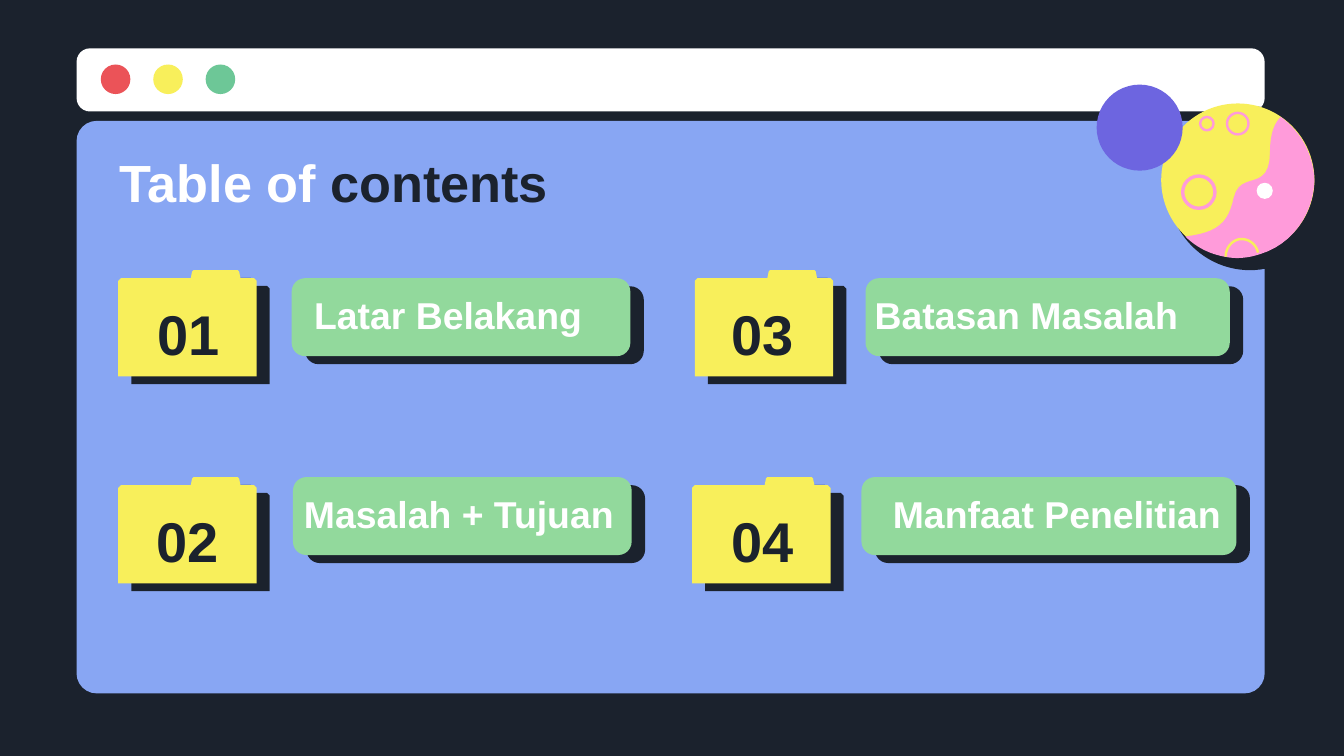
from pptx import Presentation
from pptx.dml.color import RGBColor
from pptx.enum.shapes import MSO_SHAPE as Shape
from pptx.enum.text import MSO_ANCHOR as Anchor, MSO_AUTO_SIZE as AutoSize, PP_ALIGN as Align
from pptx.oxml import parse_xml
from pptx.oxml.ns import nsdecls
from pptx.util import Inches, Pt

NAVY, WHITE, YELLOW, PINK = "1B222D", "FFFFFF", "F8EF5B", "FF9BDA"
BLUE, GREEN, PURPLE = "88A6F3", "92D99C", "6D65E0"
CURVE_STEPS = 12


def rgb(color):
    """Turn a hex string into a colour."""
    return RGBColor.from_string(color)


def paint(shape, fill=None, line=None, weight=1):
    """Set fill and outline, and switch off the theme shadow."""
    shape.shadow.inherit = False
    if fill:
        shape.fill.solid()
        shape.fill.fore_color.rgb = rgb(fill)
    else:
        shape.fill.background()
    if line:
        shape.line.color.rgb = rgb(line)
        shape.line.width = Pt(weight)
    else:
        shape.line.fill.background()


def add_rounded(slide, left, top, width, height, radius, fill):
    """Add a rounded rectangle with a corner radius in inches."""
    bar = slide.shapes.add_shape(
        Shape.ROUNDED_RECTANGLE, Inches(left), Inches(top), Inches(width), Inches(height))
    bar.adjustments[0] = radius / min(width, height)
    paint(bar, fill)


def add_circle(slide, x, y, radius, fill=None, line=None, weight=1):
    """Add a circle around a centre point."""
    circle = slide.shapes.add_shape(
        Shape.OVAL, Inches(x - radius), Inches(y - radius), Inches(2 * radius), Inches(2 * radius))
    paint(circle, fill, line, weight)


def bezier(start, control_1, control_2, end):
    """List points along a cubic curve, without its start."""
    points = []
    for step in range(1, CURVE_STEPS + 1):
        t = step / CURVE_STEPS
        weights = ((1 - t) ** 3, 3 * t * (1 - t) ** 2, 3 * t * t * (1 - t), t ** 3)
        points.append(tuple(
            sum(w * c for w, c in zip(weights, axis))
            for axis in zip(start, control_1, control_2, end)))
    return points


def add_outline(slide, start, segments, closed=True):
    """Add a freeform; one-point segments are straight, three-point ones curved."""
    points = [start]
    for segment in segments:
        points += bezier(points[-1], *segment) if len(segment) == 3 else segment
    corners = [(Inches(x), Inches(y)) for x, y in points]
    builder = slide.shapes.build_freeform(*corners[0])
    builder.add_line_segments(corners[1:], close=closed)
    return builder.convert_to_shape()


def add_folder(slide, left, top):
    """Add a tabbed folder with a hard offset shadow."""
    corners = [(0, 0.08), (0.02, 0.06), (0.54, 0.06), (0.55, 0.01), (0.56, 0), (0.89, 0),
               (0.9, 0.01), (0.91, 0.06), (1.01, 0.06), (1.03, 0.08), (1.03, 0.79), (0, 0.79)]
    points = [(left + x, top + y) for x, y in corners]
    folder = add_outline(slide, points[0], [[point] for point in points[1:]])
    paint(folder, YELLOW)
    effects = folder.element.spPr.find("{*}effectLst")
    effects.append(parse_xml(
        f'<a:outerShdw {nsdecls("a")} blurRad="0" dist="{Pt(8.2)}" dir="{31 * 60000}" '
        f'algn="bl" rotWithShape="0"><a:srgbClr val="{NAVY}"/></a:outerShdw>'))


def write(box, runs, size, anchor, align):
    """Format a text frame and fill it run by run."""
    frame = box.text_frame
    frame.word_wrap = True
    frame.auto_size = AutoSize.NONE
    frame.vertical_anchor = anchor
    frame.margin_left = frame.margin_right = Inches(0.1)
    frame.margin_top = frame.margin_bottom = Inches(0.1)
    paragraph = frame.paragraphs[0]
    paragraph.alignment = align
    for text, color in runs:
        run = paragraph.add_run()
        run.text = text
        run.font.name = "Arial"
        run.font.size = Pt(size)
        run.font.bold = True
        run.font.color.rgb = rgb(color)


def add_label(slide, left, top, width, height, text, size, color, anchor, align=Align.CENTER):
    """Add a one-run text box."""
    label = slide.shapes.add_textbox(Inches(left), Inches(top), Inches(width), Inches(height))
    write(label, [(text, color)], size, anchor, align)


def add_window(slide):
    """Draw the browser window with its three buttons."""
    add_rounded(slide, 0.57, 0.36, 8.84, 0.47, 0.1, WHITE)
    for index, color in enumerate(("EB5358", YELLOW, "6DC797")):
        add_circle(slide, 0.86 + 0.39 * index, 0.59, 0.11, color)
    add_rounded(slide, 0.57, 0.9, 8.84, 4.26, 0.15, BLUE)


def add_planet(slide):
    """Draw the two-tone planet, its craters and its moon."""
    add_circle(slide, 9.3, 1.4, 0.61, NAVY)
    add_circle(slide, 9.21, 1.34, 0.57, YELLOW)
    for x, y, radius, weight in ((9.21, 0.92, 0.08, 1.3), (8.92, 1.43, 0.12, 1.8),
                                 (8.98, 0.92, 0.05, 1.3)):
        add_circle(slide, x, y, radius, line=PINK, weight=weight)
    land = add_outline(slide, (9.53, 0.87), [
        [(9.61, 0.93), (9.69, 1.02), (9.73, 1.12)],
        [(9.76, 1.19), (9.78, 1.27), (9.78, 1.35)],
        [(9.77, 1.6), (9.61, 1.82), (9.38, 1.89)],
        [(9.29, 1.92), (9.2, 1.93), (9.11, 1.91)],
        [(9, 1.89), (8.9, 1.84), (8.82, 1.76)],
        [(9.06, 1.73), (9.14, 1.66), (9.18, 1.47)],
        [(9.23, 1.26), (9.45, 1.44), (9.45, 1.13)],
        [(9.45, 0.98), (9.49, 0.91), (9.53, 0.87)]])
    paint(land, PINK)
    crater_rim = add_outline(slide, (9.12, 1.91), [
        [(9.12, 1.84), (9.17, 1.79), (9.22, 1.78)],
        [(9.29, 1.77), (9.35, 1.82), (9.36, 1.88)]], closed=False)
    paint(crater_rim, line=YELLOW, weight=1.3)
    add_circle(slide, 9.41, 1.42, 0.06, WHITE)
    add_circle(slide, 8.48, 0.95, 0.32, PURPLE)


def add_entry(slide, row_top, number, number_left, folder_left, bar, label, text, align):
    """Add a numbered folder with its topic bar."""
    bar_left, bar_width = bar
    label_left, label_width = label
    folder_top, bar_top = row_top
    add_rounded(slide, bar_left + 0.1, bar_top + 0.06, bar_width, 0.58, 0.1, NAVY)
    add_rounded(slide, bar_left, bar_top, bar_width, 0.58, 0.1, GREEN)
    add_folder(slide, folder_left, folder_top)
    add_label(slide, number_left, folder_top + 0.14, 0.87, 0.65, number, 30, NAVY, Anchor.MIDDLE)
    add_label(slide, label_left, bar_top + 0.1, label_width, 0.44, text, 20, WHITE,
              Anchor.BOTTOM, align)


def main():
    """Build the table of contents slide."""
    deck = Presentation()
    deck.slide_width = Inches(10)
    deck.slide_height = Inches(10 * 9 / 16)
    slide = deck.slides.add_slide(deck.slide_layouts[5])
    slide.background.fill.solid()
    slide.background.fill.fore_color.rgb = rgb(NAVY)

    add_window(slide)
    add_planet(slide)

    upper, lower = (2.01, 2.07), (3.55, 3.55)
    entries = [
        (upper, "01", 0.97, 0.88, (2.17, 2.52), (2, 2.67), "Latar Belakang", Align.CENTER),
        (lower, "02", 0.96, 0.88, (2.18, 2.52), (2.04, 2.75), "Masalah + Tujuan", Align.CENTER),
        (upper, "03", 5.24, 5.17, (6.44, 2.71), (6.41, 2.82), "Batasan Masalah", Align.LEFT),
        (lower, "04", 5.24, 5.15, (6.41, 2.79), (6.24, 3.25), "Manfaat Penelitian", Align.CENTER),
    ]
    for entry in entries:
        add_entry(slide, *entry)

    title = slide.shapes.title
    title.left, title.top = Inches(0.79), Inches(1.02)
    title.width, title.height = Inches(8.43), Inches(0.62)
    write(title, [("Table of ", WHITE), ("contents", NAVY)], 28, Anchor.TOP, Align.LEFT)
    slide.shapes.element.append(title.element)
    deck.save("out.pptx")


if __name__ == "__main__":
    main()
